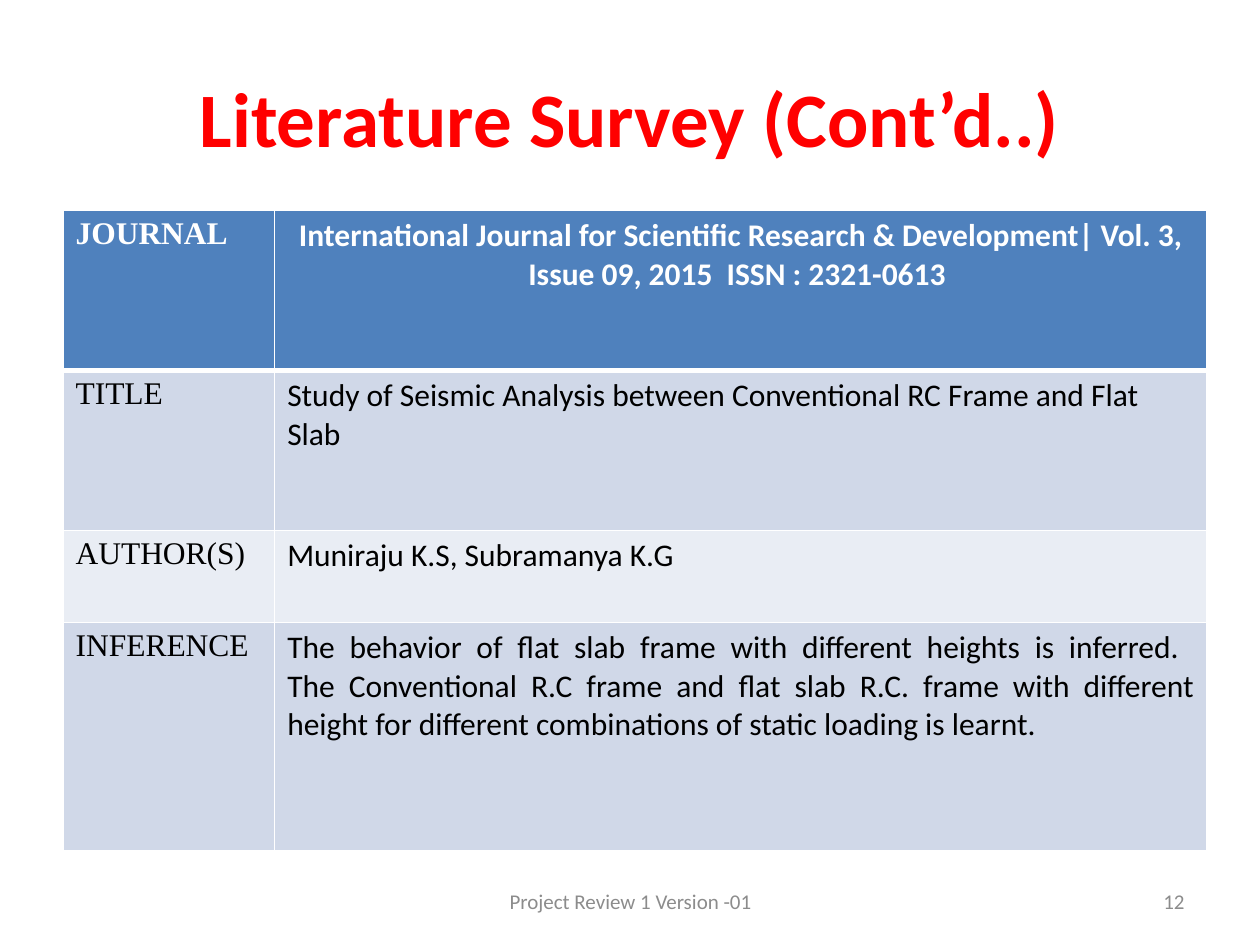
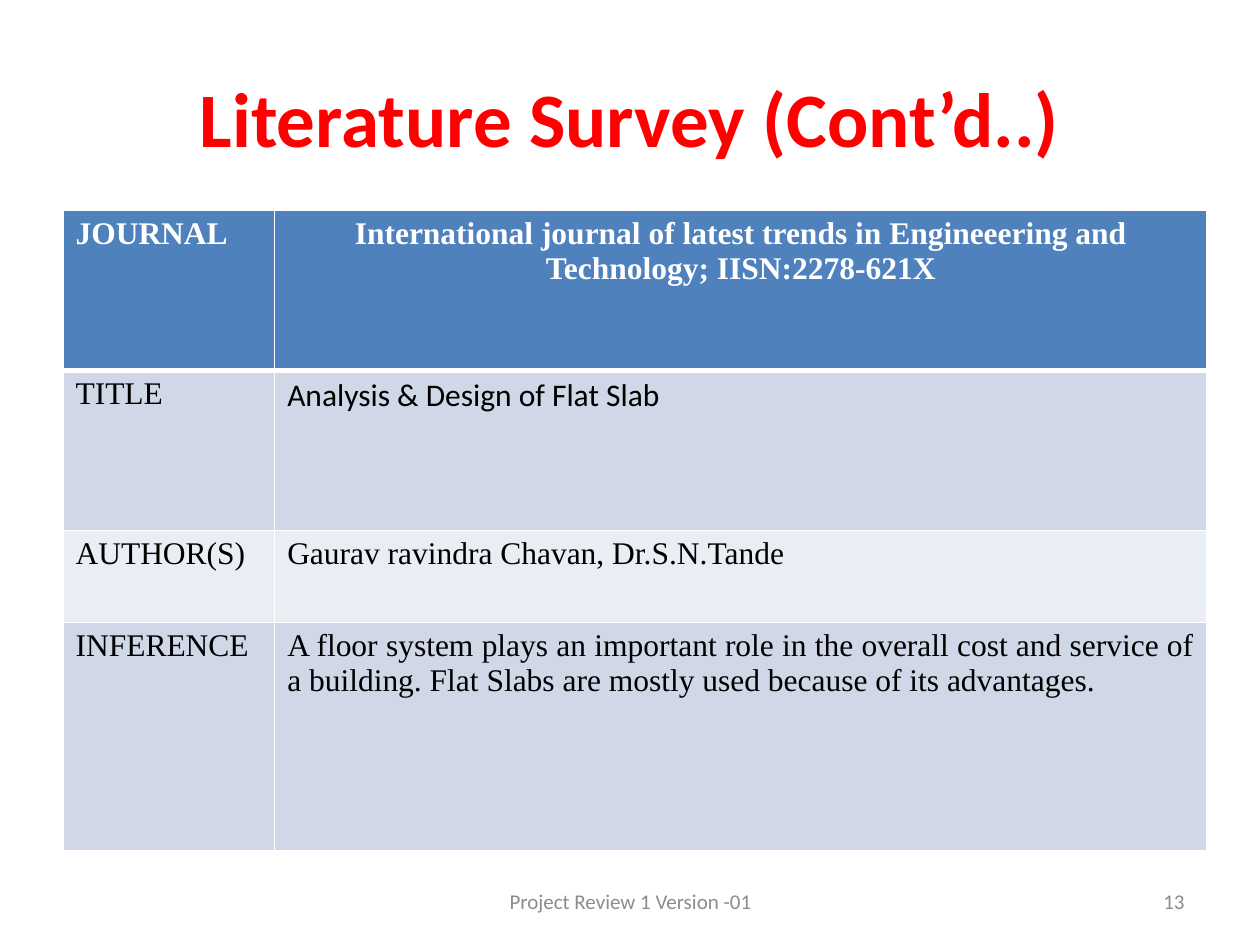
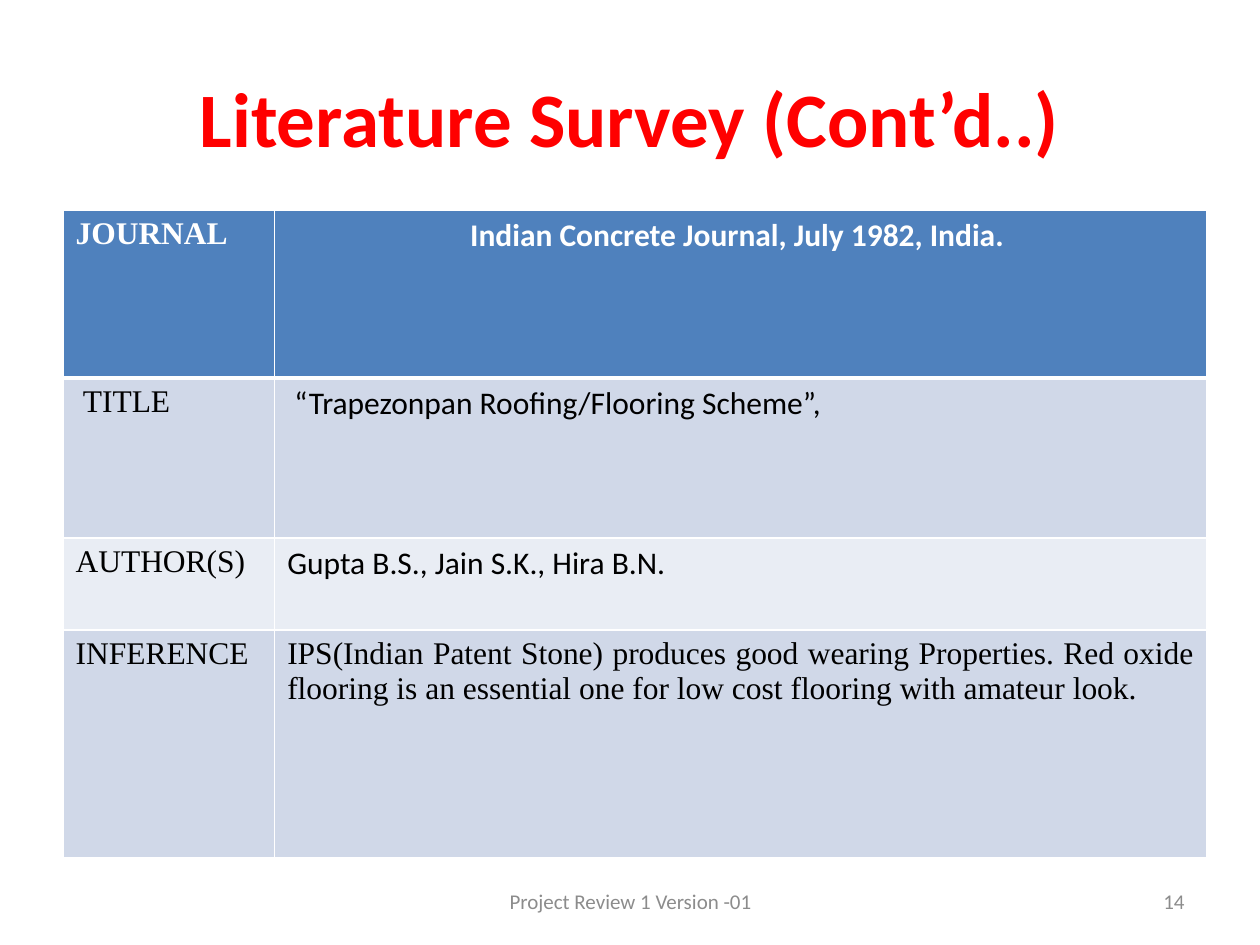
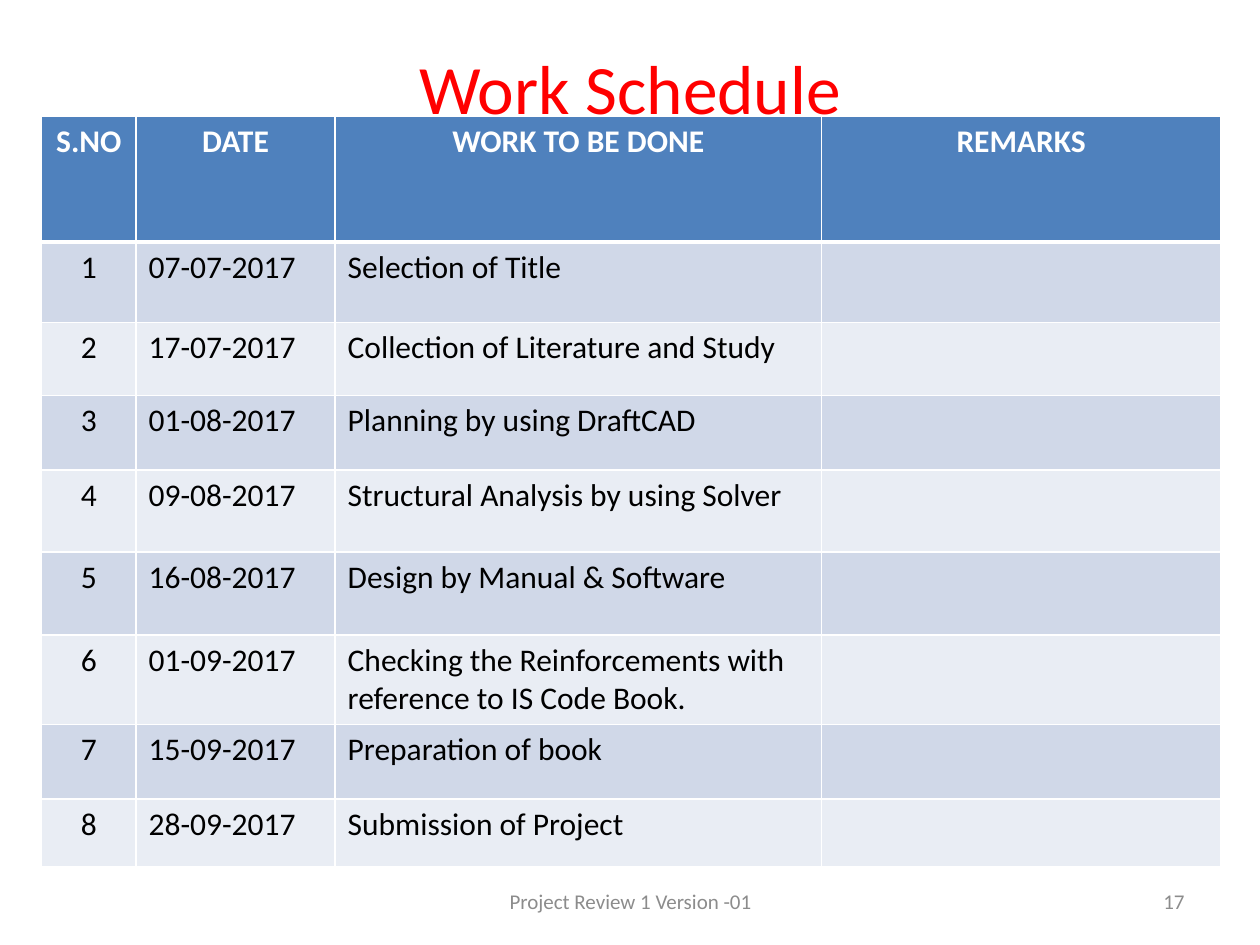
from dataclasses import dataclass

import pptx
import pptx.dml.color
import pptx.enum.text
import pptx.oxml
import pptx.oxml.ns
import pptx.util
from pptx.util import Inches

SANS = "Calibri"
SERIF = "Times New Roman"
RED, WHITE, BLACK, GREY = "FF0000", "FFFFFF", "000000", "8C8C8C"
HEADER_FILL = "4F81BD"
BAND_FILLS = ("D0D8E8", "E9EDF4")
FOOTER = "Project Review 1 Version -01"
SURVEY_TITLE = "Literature Survey (Cont’d..)"

Align = pptx.enum.text.PP_ALIGN
Anchor = pptx.enum.text.MSO_ANCHOR


@dataclass
class Cell:
    text: str = ""
    font: str = SANS
    align: Align = Align.LEFT


@dataclass
class Grid:
    left: float
    top: float
    cols: list[float]
    rows: list[float]
    cells: list[list[Cell]]


@dataclass
class Survey:
    number: int
    journal: Cell
    title: Cell
    authors: Cell
    inference: Cell
    header_height: float = 1.27
    title_label: str = "TITLE"


SURVEYS = [
    Survey(
        12,
        Cell("International Journal for Scientific Research & Development| Vol. 3, "
             "Issue 09, 2015  ISSN : 2321-0613 "),
        Cell("Study of Seismic Analysis between Conventional RC Frame and Flat Slab"),
        Cell("Muniraju K.S, Subramanya K.G"),
        Cell("The behavior of flat slab frame with different heights is inferred. \n"
             "The Conventional R.C frame and flat slab R.C. frame with different "
             "height for different combinations of static loading is learnt."),
    ),
    Survey(
        13,
        Cell("International journal of latest trends in Engineeering and Technology; "
             "IISN:2278-621X", SERIF),
        Cell("Analysis & Design of Flat Slab"),
        Cell("Gaurav ravindra Chavan, Dr.S.N.Tande", SERIF),
        Cell("A floor system plays an important role in the overall cost and service "
             "of a building. Flat Slabs are mostly used because of its advantages.",
             SERIF),
    ),
    Survey(
        14,
        Cell("Indian Concrete Journal, July 1982, India. "),
        Cell(" “Trapezonpan Roofing/Flooring Scheme”,"),
        Cell("Gupta B.S., Jain S.K., Hira B.N."),
        Cell("IPS(Indian Patent Stone) produces good wearing Properties. Red oxide "
             "flooring is an essential one for low cost flooring with amateur look.",
             SERIF),
        header_height=1.33,
        title_label=" TITLE",
    ),
]

SCHEDULE_HEADS = ["S.NO", "DATE", "WORK TO BE DONE", "REMARKS"]
SCHEDULE = [
    ("07-07-2017", "Selection of Title"),
    ("17-07-2017", "Collection of Literature and Study"),
    ("01-08-2017", "Planning by using DraftCAD"),
    ("09-08-2017", "Structural Analysis by using Solver"),
    ("16-08-2017", "Design by Manual & Software"),
    ("01-09-2017", "Checking the Reinforcements with reference to IS Code Book."),
    ("15-09-2017", "Preparation of book"),
    ("28-09-2017", "Submission of Project"),
]


def rgb(color: str) -> pptx.dml.color.RGBColor:
    return pptx.dml.color.RGBColor.from_string(color)


def write(p, text: str, size: float, color: str, align: Align,
          font: str = SANS, bold: bool = False) -> None:
    p.text = text
    p.alignment = align
    for r in p.runs:
        r.font.name = font
        r.font.size = pptx.util.Pt(size)
        r.font.bold = bold
        r.font.color.rgb = rgb(color)


def set_border(cell, side: str, width: float) -> None:
    """Add a white border; side is L, R, T or B, added in that order."""
    ns = pptx.oxml.ns.nsdecls("a")
    cell._tc.get_or_add_tcPr().append(pptx.oxml.parse_xml(
        f'<a:ln{side} {ns} w="{pptx.util.Pt(width)}"><a:solidFill>'
        f'<a:srgbClr val="{WHITE}"/></a:solidFill></a:ln{side}>'))


def add_grid(s, grid: Grid) -> None:
    table = s.shapes.add_table(
        len(grid.rows), len(grid.cols), Inches(grid.left), Inches(grid.top),
        Inches(sum(grid.cols)), Inches(sum(grid.rows))).table
    table.horz_banding = False
    for column, width in zip(table.columns, grid.cols):
        column.width = Inches(width)
    for i, (row, height) in enumerate(zip(table.rows, grid.rows)):
        row.height = Inches(height)
        header = i == 0
        fill = HEADER_FILL if header else BAND_FILLS[(i - 1) % 2]
        for cell, content in zip(row.cells, grid.cells[i]):
            set_border(cell, "L", 1)
            set_border(cell, "R", 1)
            set_border(cell, "T", 3 if i == 1 else 1)
            set_border(cell, "B", 3 if header else 1)
            cell.fill.solid()
            cell.fill.fore_color.rgb = rgb(fill)
            write(cell.text_frame.paragraphs[0], content.text, 18,
                  WHITE if header else BLACK, content.align, content.font, header)


def add_footer_text(s, text: str, left: float, width: float, align: Align) -> None:
    tf = s.shapes.add_textbox(
        Inches(left), Inches(6.95), Inches(width), Inches(0.4)).text_frame
    tf.word_wrap = True
    tf.vertical_anchor = Anchor.MIDDLE
    write(tf.paragraphs[0], text, 12, GREY, align)


def add_slide(prs, title: str, number: int, grid: Grid, title_height: float = 1.25,
              title_size: float = 44, title_bold: bool = True) -> None:
    s = prs.slides.add_slide(prs.slide_layouts[5])
    sp = s.shapes.title
    sp.left, sp.top = Inches(0.5), Inches(0.3)
    sp.width, sp.height = Inches(9), Inches(title_height)
    tf = sp.text_frame
    tf.auto_size = pptx.enum.text.MSO_AUTO_SIZE.NONE
    tf.vertical_anchor = Anchor.MIDDLE
    write(tf.paragraphs[0], title, title_size, RED, Align.CENTER, bold=title_bold)
    add_grid(s, grid)
    add_footer_text(s, str(number), 7.17, 2.33, Align.RIGHT)
    add_footer_text(s, FOOTER, 3.42, 3.17, Align.CENTER)


def survey_grid(survey: Survey) -> Grid:
    survey.journal.align = Align.CENTER
    survey.inference.align = Align.JUSTIFY
    labels = ["JOURNAL", survey.title_label, "AUTHOR(S)", "INFERENCE"]
    entries = [survey.journal, survey.title, survey.authors, survey.inference]
    return Grid(0.5, 1.67, [1.68, 7.4], [survey.header_height, 1.27, 0.73, 1.81],
                [[Cell(label, SERIF), entry] for label, entry in zip(labels, entries)])


def schedule_grid() -> Grid:
    cells = [[Cell(head, align=Align.CENTER) for head in SCHEDULE_HEADS]]
    for number, (date, work) in enumerate(SCHEDULE, 1):
        cells.append([Cell(str(number), align=Align.CENTER),
                      Cell(date), Cell(work), Cell()])
    return Grid(0.33, 0.92, [0.75, 1.58, 3.86, 3.17],
                [1, 0.64, 0.58, 0.59, 0.65, 0.66, 0.71, 0.59, 0.54], cells)


def main() -> None:
    prs = pptx.Presentation()
    prs.slide_width, prs.slide_height = Inches(10), Inches(7.5)
    for survey in SURVEYS:
        add_slide(prs, SURVEY_TITLE, survey.number, survey_grid(survey))
    add_slide(prs, "Work Schedule", 17, schedule_grid(),
              title_height=0.78, title_size=39.6, title_bold=False)
    prs.save("out.pptx")


if __name__ == "__main__":
    main()
